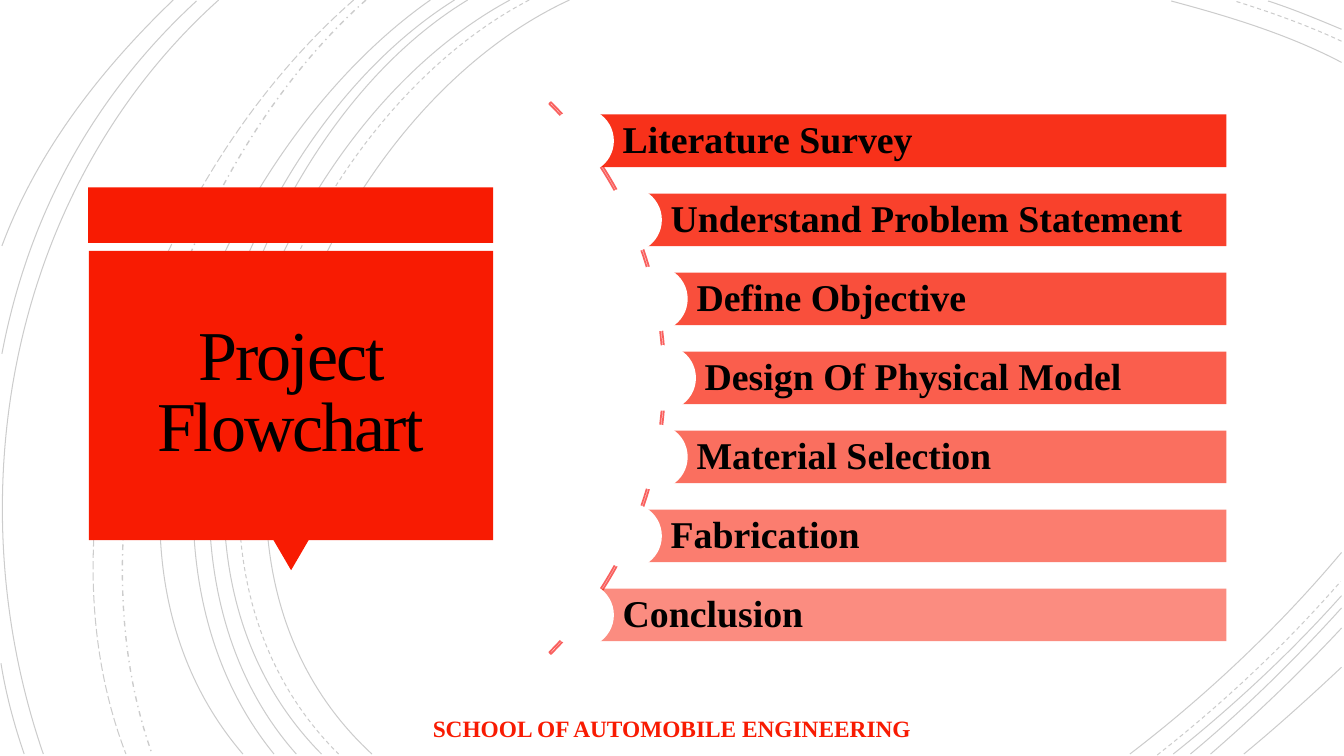
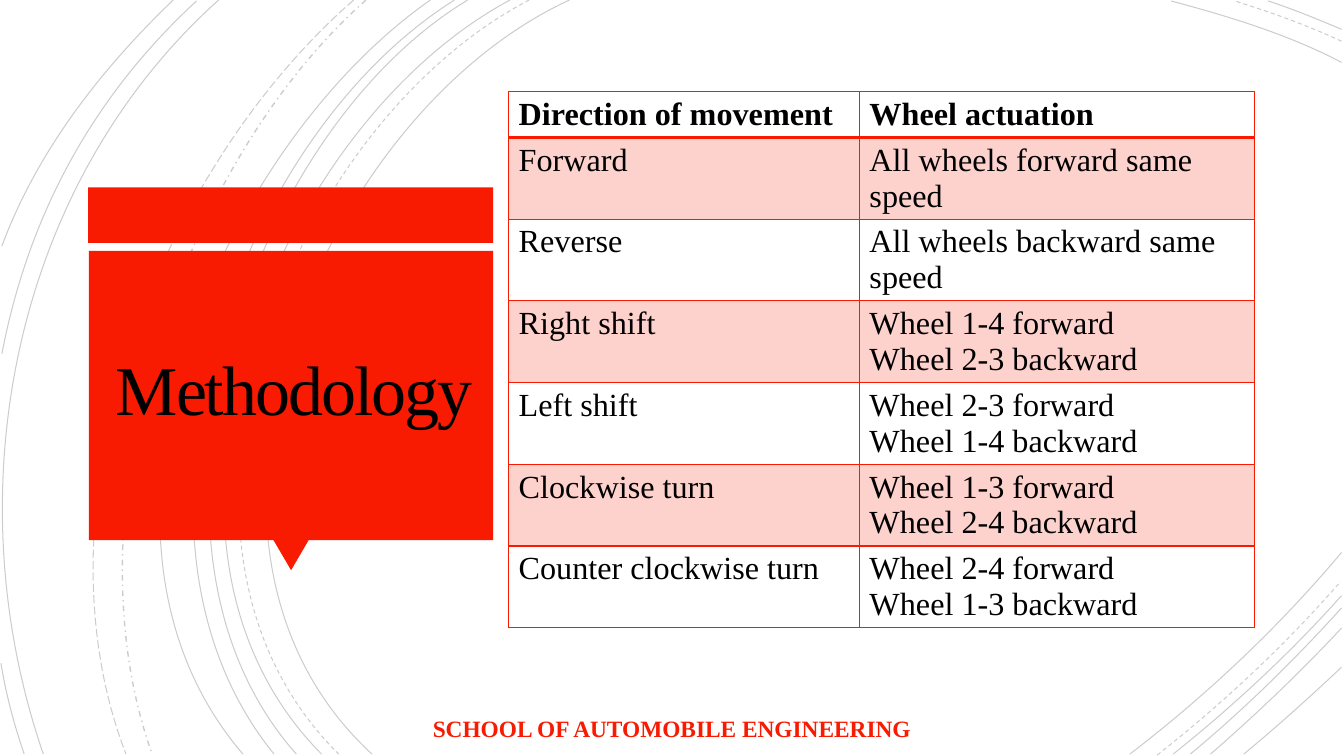
from dataclasses import dataclass
from math import sqrt
from typing import Any, NamedTuple

from lxml import etree
from pptx import Presentation
from pptx.dml.color import RGBColor
from pptx.enum import dml, shapes, text
from pptx.oxml import ns
from pptx.util import Pt

SHAPE = shapes.MSO_SHAPE
DASH = dml.MSO_LINE
ALIGN = text.PP_ALIGN
FIT = text.MSO_AUTO_SIZE
MIDDLE = text.MSO_ANCHOR.MIDDLE


@dataclass(frozen=True)
class Theme:
    red: str = "F81B02"
    arc: str = "F9605E"
    ink: str = "000000"
    paper: str = "FFFFFF"
    font: str = "Times New Roman"
    head: float = 50
    step: float = 27
    cell: float = 23
    foot: float = 16.7


class Box(NamedTuple):
    """Left, top, width and height in points."""
    x: float
    y: float
    w: float
    h: float

    def emu(self) -> list[int]:
        return [Pt(v) for v in self]


class Curve(NamedTuple):
    """Start, two control points and end of a cubic curve, in points."""
    ends: tuple[float, ...]
    dash: Any = DASH.SOLID
    wid: float = 0.75


class Row(NamedTuple):
    move: str
    act: str


T = Theme()
CURVES = [
    Curve((406.8, 0, 226.8, 82.8, 103, 388.8, 265.7, 538.6)),
    Curve((958.3, 44.6, 920.2, 24.5, 877, 11.5, 836.6, 0.7)),
    Curve((807.1, 538.6, 861.8, 496.8, 913.7, 447.8, 958.3, 394.6)),
    Curve((378, 0, 205.2, 90, 88.6, 386.6, 241.9, 538.6), DASH.DASH),
    Curve((958.3, 29.5, 933.8, 18, 907.2, 8.6, 882, 0.7), DASH.DASH),
    Curve((826.6, 539.3, 873.4, 502.6, 918, 460.8, 957.6, 415.4), DASH.DASH),
    Curve((364.3, 0, 194.4, 91.4, 79.2, 386.6, 229.7, 538.6)),
    Curve((958.3, 20.9, 941, 13.7, 923.8, 6.5, 905.8, 0.7)),
    Curve((838.1, 538.6, 880.6, 504.7, 921.6, 466.6, 958.3, 425.5)),
    Curve((334.1, 0, 175.7, 95.8, 79.2, 389.5, 211.7, 538.6)),
    Curve((850.3, 538.6, 888.5, 506.9, 924.5, 471.6, 958.3, 434.2)),
    Curve((324.7, 0, 166.3, 99.4, 69.8, 383.8, 195.8, 538.6)),
    Curve((864.7, 538.6, 897.1, 510.5, 928.8, 480.2, 958.3, 448.6)),
    Curve((307.4, 0, 156.2, 105.8, 38.2, 380.9, 173.5, 538.6)),
    Curve((888.5, 538.6, 912.2, 519.1, 935.3, 498.2, 958.3, 476.6)),
    Curve((261.4, 0, 126.7, 119.5, 46.8, 366.5, 108.7, 538.6),
          DASH.DASH_DOT, 1),
    Curve((252.7, 0, 113, 121.7, 20.9, 359.3, 90, 538.6), DASH.LONG_DASH),
    Curve((156.2, 0, 7.9, 133.2, -33.1, 352.8, 31, 538.6)),
    Curve((140.4, 0.7, 66.2, 69.1, 20.2, 154.1, 1.4, 252.7)),
    Curve((0.7, 473.8, 4.3, 496.1, 10.1, 517.7, 17.3, 538.6)),
    Curve((123.8, 0, 72, 49.7, 26.6, 108, 1.4, 175.7)),
]
STEPS = ["Literature Survey", "Understand Problem Statement",
         "Define Objective", "Design Of Physical Model",
         "Material Selection", "Fabrication", "Conclusion"]
ROWS = [
    Row("Direction of movement", "Wheel actuation"),
    Row("Forward", "All wheels forward same speed"),
    Row("Reverse", "All wheels backward same speed"),
    Row("Right shift", "Wheel 1-4 forward\nWheel 2-3 backward"),
    Row("Left shift", "Wheel 2-3 forward\nWheel 1-4 backward"),
    Row("Clockwise turn", "Wheel 1-3 forward\nWheel 2-4 backward"),
    Row("Counter clockwise turn", "Wheel 2-4 forward\nWheel 1-3 backward"),
]


def put(obj: Any, **fmt: Any) -> None:
    for key, val in fmt.items():
        setattr(obj, key, val)


def fade(node: Any, part: float) -> None:
    """Give every colour under the node an opacity in percent."""
    for clr in node.iter(ns.qn("a:srgbClr")):
        etree.SubElement(clr, ns.qn("a:alpha"), val=str(round(part * 1000)))


def paint(fill: Any, tint: str) -> None:
    fill.solid()
    fill.fore_color.rgb = RGBColor.from_string(tint)


def write(frame: Any, words: str, size: float, tint: str = T.ink,
          bold: bool = False, **para: Any) -> None:
    frame.word_wrap = True
    frame.text = words
    for par in frame.paragraphs:
        put(par, **para)
        for run in par.runs:
            put(run.font, name=T.font, size=Pt(size), bold=bold)
            run.font.color.rgb = RGBColor.from_string(tint)


def draw(slide: Any, kind: Any, box: Box, tint: str) -> Any:
    shp = slide.shapes.add_shape(kind, *box.emu())
    shp.shadow.inherit = False
    paint(shp.fill, tint)
    shp.line.fill.background()
    return shp


def sweep(slide: Any, curve: Curve) -> None:
    """Outline the four points, then join them as one cubic segment."""
    ends = [Pt(v) for v in curve.ends]
    pts = list(zip(ends[::2], ends[1::2]))
    pen = slide.shapes.build_freeform(*pts[0])
    pen.add_line_segments(pts[1:], close=False)
    shp = pen.convert_to_shape()
    track = shp.element.find(".//" + ns.qn("a:path"))
    bend = etree.SubElement(track, ns.qn("a:cubicBezTo"))
    for leg in track.findall(ns.qn("a:lnTo")):
        bend.append(leg[0])
        track.remove(leg)
    shp.shadow.inherit = False
    shp.fill.background()
    paint(shp.line.fill, T.ink)
    put(shp.line, width=Pt(curve.wid), dash_style=curve.dash)
    fade(shp.element, 20)


def dress(slide: Any) -> None:
    """Draw the shared backdrop and move it to the slide's layout."""
    old = len(slide.shapes)
    for curve in CURVES:
        sweep(slide, curve)
    draw(slide, SHAPE.RECTANGLE, Box(63, 133.9, 289.2, 39.6), T.red)
    tip = draw(slide, SHAPE.ISOSCELES_TRIANGLE,
               Box(195.3, 385.7, 25.2, 21.6), T.red)
    tip.rotation = 180
    draw(slide, SHAPE.RECTANGLE, Box(63.5, 179.3, 288.7, 206.6), T.red)
    for num, shp in enumerate(list(slide.shapes)[old:], 100):
        shp.element.find(".//" + ns.qn("p:cNvPr")).set("id", str(num))
        slide.slide_layout.shapes.element.append(shp.element)


def title(slide: Any, words: str, box: Box) -> None:
    head = slide.shapes.title
    put(head, **dict(zip(("left", "top", "width", "height"), box.emu())))
    frame = head.text_frame
    write(frame, words, T.head, alignment=ALIGN.CENTER, line_spacing=0.85)
    put(frame, vertical_anchor=MIDDLE, auto_size=FIT.NONE)
    for side in ("left", "top", "right", "bottom"):
        setattr(frame, f"margin_{side}", Pt(18))
    for run in frame.paragraphs[0].runs:
        run.font._element.set("spc", "-150")


def foot(slide: Any) -> None:
    note = slide.shapes.add_textbox(*Box(301.7, 506.9, 356.4, 27.4).emu())
    write(note.text_frame, "SCHOOL OF AUTOMOBILE ENGINEERING", T.foot,
          T.red, True, alignment=ALIGN.CENTER)
    note.text_frame.auto_size = FIT.SHAPE_TO_FIT_TEXT


def flow(slide: Any) -> None:
    """Draw the steps as bars whose left ends follow an arc."""
    arc = draw(slide, SHAPE.BLOCK_ARC, Box(-82.1, -8.6, 557.3, 557.3), T.arc)
    for i, val in enumerate((189, 27, 0.003)):
        arc.adjustments[i] = val
    arc.fill.background()
    paint(arc.line.fill, T.arc)
    arc.line.width = Pt(1.25)
    top, gap, high, dot = 81.8, 56.45, 37.6, 46.8
    peak, end, rad = 473.7, 876, 274
    last = len(STEPS) - 1
    for i, step in enumerate(STEPS):
        off = (i - last / 2) * gap
        x, y = peak - rad + sqrt(rad ** 2 - off ** 2), top + i * gap
        bar = draw(slide, SHAPE.RECTANGLE, Box(x, y, end - x, high), T.red)
        fade(bar.element, 90 - 40 * i / last)
        put(bar.text_frame, margin_left=Pt(29.7), margin_right=Pt(5),
            margin_top=Pt(5), margin_bottom=Pt(5), vertical_anchor=MIDDLE)
        write(bar.text_frame, step, T.step, bold=True,
              alignment=ALIGN.LEFT, line_spacing=0.9)
        draw(slide, SHAPE.OVAL,
             Box(x - dot / 2, y + (high - dot) / 2, dot, dot), T.paper)


def edge(cell: Any, **wide: float) -> None:
    """Set the borders, given as L, R, T and B widths in points."""
    prop = cell._tc.get_or_add_tcPr()
    for i, (side, wid) in enumerate(wide.items()):
        line = etree.Element(ns.qn(f"a:ln{side}"), w=str(Pt(wid)))
        fill = etree.SubElement(line, ns.qn("a:solidFill"))
        etree.SubElement(fill, ns.qn("a:srgbClr"), val=T.red)
        prop.insert(i, line)


def grid(slide: Any) -> None:
    wide, first, rest = (250.6, 282.2), 32.4, 58.3
    box = Box(363.3, 65.4, sum(wide), first + rest * (len(ROWS) - 1))
    tab = slide.shapes.add_table(len(ROWS), len(wide), *box.emu()).table
    put(tab, first_row=False, horz_banding=False)
    for col, wid in zip(tab.columns, wide):
        col.width = Pt(wid)
    for i, row in enumerate(ROWS):
        tab.rows[i].height = Pt(rest if i else first)
        for j, words in enumerate(row):
            cell = tab.cell(i, j)
            if i % 2:
                paint(cell.fill, T.red)
                fade(cell._tc, 20)
            else:
                cell.fill.background()
            edge(cell, L=1, R=1, T=2 if i == 1 else 1, B=1 if i else 2)
            write(cell.text_frame, words, T.cell, bold=i == 0)


def main() -> None:
    deck = Presentation()
    put(deck, slide_width=Pt(960), slide_height=Pt(540))
    base = deck.slide_layouts[5]
    plan, means = (deck.slides.add_slide(base) for _ in range(2))
    dress(plan)
    title(plan, "Project Flowchart", Box(69.8, 185, 275.8, 193.7))
    flow(plan)
    title(means, "Methodology", Box(63.6, 184.6, 293, 193.7))
    grid(means)
    for slide in (plan, means):
        foot(slide)
    deck.save("out.pptx")


if __name__ == "__main__":
    main()
